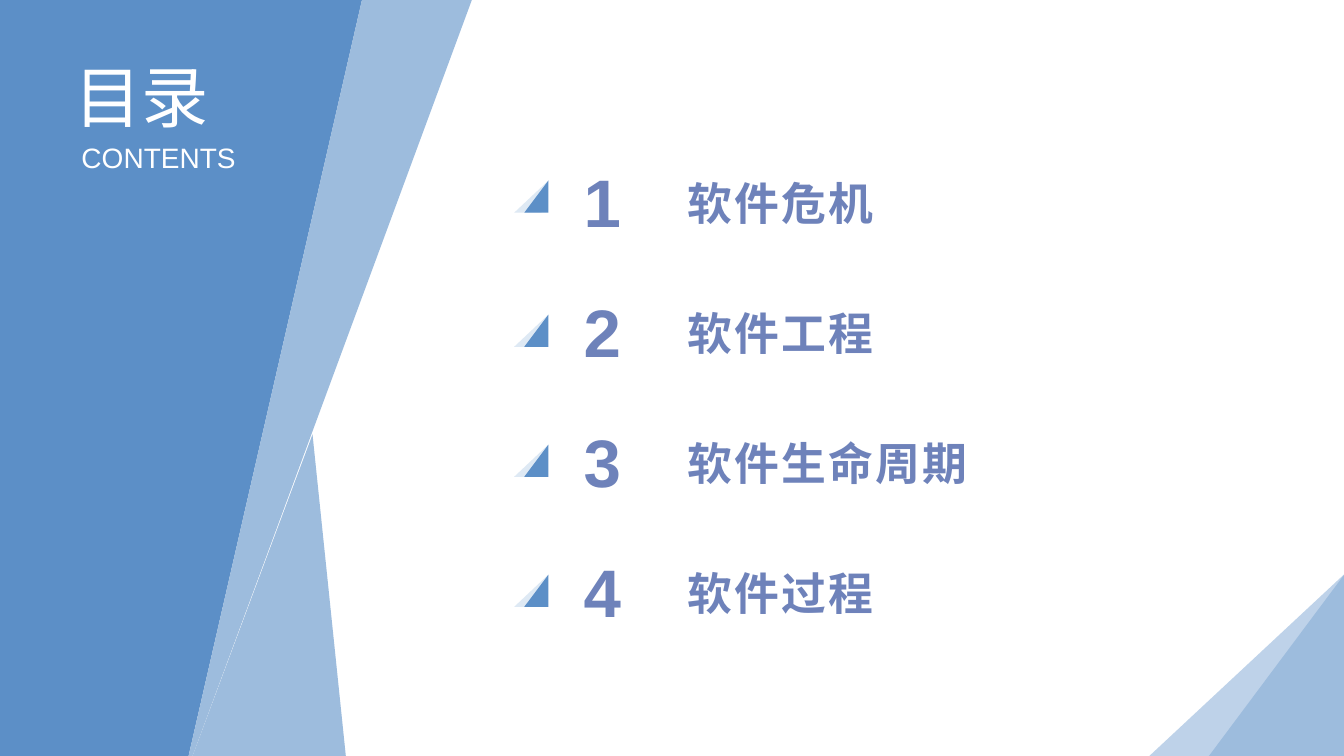
from dataclasses import dataclass

from pptx import Presentation
from pptx.dml.color import RGBColor
from pptx.enum.shapes import MSO_SHAPE
from pptx.enum.text import MSO_ANCHOR
from pptx.oxml.ns import qn
from pptx.shapes.base import BaseShape
from pptx.slide import Slide
from pptx.util import Inches, Pt
from lxml.etree import SubElement

FONT = "Arial"
BLUE = "5C8FC7"
MID_BLUE = "9DBCDD"
LIGHT_BLUE = "BED2E9"
PALE_BLUE = "DEE9F4"
INDIGO = "6E82BA"
WHITE = "FFFFFF"


@dataclass
class Polygon:
    points: list[tuple[float, float]]
    color: str


@dataclass
class Chapter:
    title: str
    marker_top: float


CORNER = Polygon([(13.33, 5.7), (12.96, 7.5), (11.4, 7.5)], LIGHT_BLUE)
SIDE_PANELS = [
    Polygon([(0, 0), (3.59, 0), (1.87, 7.5), (0, 7.5)], BLUE),
    Polygon([(4.68, 0), (1.91, 7.5), (1.87, 7.5), (3.59, 0)], MID_BLUE),
    Polygon([(3.1, 4.31), (3.43, 7.5), (1.91, 7.5)], MID_BLUE),
]
CHAPTERS = [
    Chapter("软件危机", 1.79),
    Chapter("软件工程", 3.12),
    Chapter("软件生命周期", 4.41),
    Chapter("软件过程", 5.7),
]
FIRST_ROW_TOP = 1.54
ROW_PITCH = 1.29


def rgb(color: str) -> RGBColor:
    return RGBColor.from_string(color)


def paint(shape: BaseShape, color: str) -> None:
    shape.shadow.inherit = False
    shape.fill.solid()
    shape.fill.fore_color.rgb = rgb(color)
    shape.line.fill.background()


def add_polygon(slide: Slide, polygon: Polygon) -> None:
    corners = [(Inches(x), Inches(y)) for x, y in polygon.points]
    builder = slide.shapes.build_freeform(*corners[0])
    builder.add_line_segments(corners[1:], close=True)
    paint(builder.convert_to_shape(), polygon.color)


def add_triangle(slide: Slide, left: float, top: float, width: float,
                 height: float, color: str) -> None:
    shape = slide.shapes.add_shape(MSO_SHAPE.ISOSCELES_TRIANGLE, Inches(left),
                                   Inches(top), Inches(width), Inches(height))
    shape.adjustments[0] = 1
    paint(shape, color)


def add_text(slide: Slide, text: str, *, left: float, top: float, width: float,
             height: float, size: float, color: str, bold: bool = False,
             spacing: float = 0, anchor: MSO_ANCHOR = MSO_ANCHOR.TOP) -> None:
    box = slide.shapes.add_textbox(Inches(left), Inches(top), Inches(width), Inches(height))
    frame = box.text_frame
    frame.word_wrap = True
    frame.vertical_anchor = anchor
    run = frame.paragraphs[0].add_run()
    run.text = text
    run.font.size = Pt(size)
    run.font.bold = bold
    run.font.name = FONT
    run.font.color.rgb = rgb(color)
    # East Asian font and letter spacing
    properties = run.font._element
    SubElement(properties, qn("a:ea")).set("typeface", FONT)
    if spacing:
        properties.set("spc", str(round(spacing * 100)))


def add_chapter(slide: Slide, number: int, chapter: Chapter) -> None:
    top = FIRST_ROW_TOP + (number - 1) * ROW_PITCH
    marker_top = chapter.marker_top
    marker_bottom = marker_top + 0.32
    add_text(slide, str(number), left=5.69, top=top, width=0.58, height=0.91,
             size=48, color=INDIGO, bold=True)
    add_polygon(slide, Polygon([(5.44, marker_top), (5.37, marker_bottom),
                                (5.1, marker_bottom)], PALE_BLUE))
    add_triangle(slide, 5.2, marker_top, 0.24, 0.32, BLUE)
    add_text(slide, chapter.title, left=6.72, top=top, width=3.15, height=0.94,
             size=32, color=INDIGO, bold=True, spacing=1.5, anchor=MSO_ANCHOR.MIDDLE)


def main() -> None:
    presentation = Presentation()
    presentation.slide_width = Inches(13.33)
    presentation.slide_height = Inches(7.5)
    slide = presentation.slides.add_slide(presentation.slide_layouts[6])

    # Bottom right corner
    add_polygon(slide, CORNER)
    add_triangle(slide, 11.99, 5.69, 1.35, 1.81, MID_BLUE)

    # Left panels
    for panel in SIDE_PANELS:
        add_polygon(slide, panel)

    # Chapter list
    for number, chapter in enumerate(CHAPTERS, start=1):
        add_chapter(slide, number, chapter)

    # Heading
    add_text(slide, "目录", left=0.64, top=0.5, width=1.6, height=0.91, size=48, color=WHITE)
    add_text(slide, "CONTENTS", left=0.71, top=1.34, width=1.75, height=0.44,
             size=20, color=WHITE)

    presentation.save("out.pptx")


if __name__ == "__main__":
    main()
